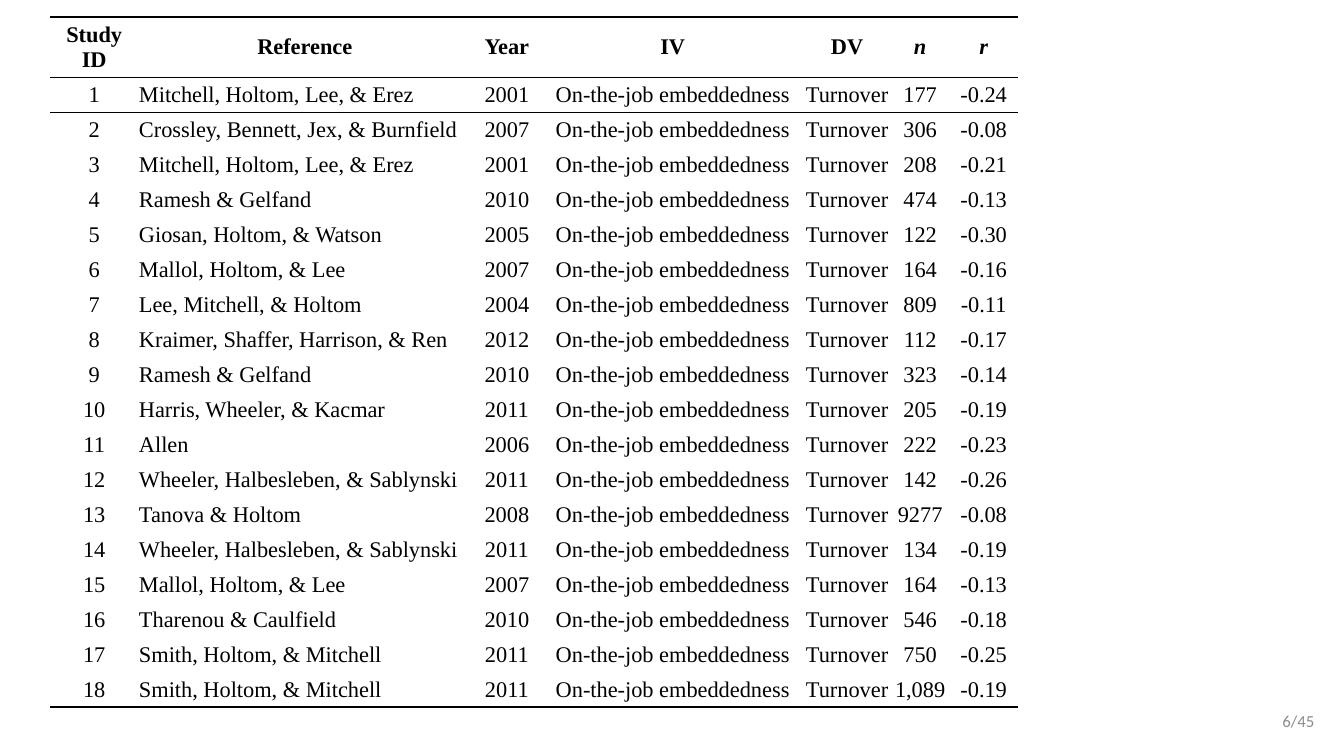
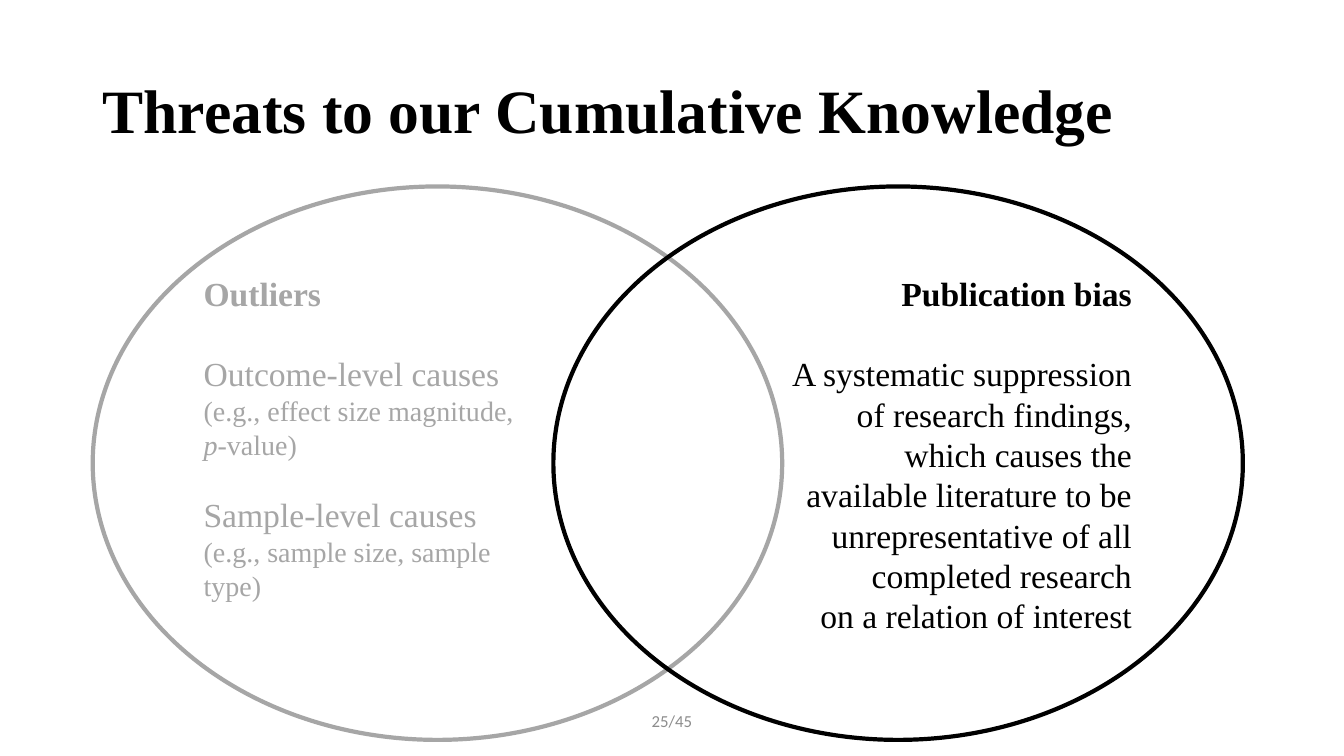
from dataclasses import dataclass
from typing import Any, NamedTuple

from lxml import etree
from pptx import Presentation
from pptx.dml.color import RGBColor
from pptx.enum.shapes import MSO_SHAPE
from pptx.enum.text import MSO_ANCHOR, PP_ALIGN
from pptx.oxml.ns import qn
from pptx.util import Pt

LEFT, CENTER, RIGHT = PP_ALIGN.LEFT, PP_ALIGN.CENTER, PP_ALIGN.RIGHT
TOP, MIDDLE = MSO_ANCHOR.TOP, MSO_ANCHOR.MIDDLE
OVAL = MSO_SHAPE.OVAL

BLACK = RGBColor(0x00, 0x00, 0x00)
FADED = RGBColor(0xA6, 0xA6, 0xA6)
PAGE_GRAY = RGBColor(0x8C, 0x8C, 0x8C)

SERIF = "Times New Roman"
SANS = "Calibri"
TITLE_FORMAT = {"name": SERIF, "size": Pt(44), "bold": True}
PAGE_FORMAT = {"name": SANS, "size": Pt(12)}
CELL_FORMAT = {"name": SERIF, "size": Pt(16)}
HEADER_FORMAT = {**CELL_FORMAT, "bold": True}
HEADING_FORMAT = {"name": SERIF, "size": Pt(24), "bold": True}
BODY_FORMAT = {"name": SERIF, "size": Pt(24)}
EXAMPLE_FORMAT = {"name": SERIF, "size": Pt(20)}

NO_GRID_STYLE = "{2D5ABB26-0587-4C30-8999-92F81FD0307C}"
HEADER_HEIGHT, STUDY_HEIGHT = 43, 25
OUTER_RULE, INNER_RULE = 1.5, 0.5
LEADING = 1.2
TIGHT_MARGINS = {
    "margin_left": Pt(0.7),
    "margin_top": Pt(0.7),
    "margin_right": Pt(0.7),
    "margin_bottom": Pt(0),
}


class Box(NamedTuple):
    left: float
    top: float
    width: float
    height: float

    def points(self) -> tuple:
        return tuple(Pt(length) for length in self)


class Study(NamedTuple):
    reference: str
    year: str
    n: str
    r: str


@dataclass(frozen=True)
class Column:
    heading: str
    width: float
    align: Any = CENTER
    italic_heading: bool = False
    tight: bool = True


@dataclass(frozen=True)
class Line:
    text: str
    format: dict
    gap_before: float = 0
    italic_start: str = ""


@dataclass(frozen=True)
class Threat:
    left: float
    color: RGBColor
    align: Any
    lines: tuple


COLUMNS = (
    Column("Study\nID", 62.6),
    Column("Reference", 238.3, align=LEFT),
    Column("Year", 50.4),
    Column("IV", 186.5, tight=False),
    Column("DV", 62.6),
    Column("n", 41.8, italic_heading=True),
    Column("r", 49, italic_heading=True),
)
PREDICTOR, OUTCOME = "On-the-job embeddedness", "Turnover"
STUDIES = (
    Study("Mitchell, Holtom, Lee, & Erez", "2001", "177", "-0.24"),
    Study("Crossley, Bennett, Jex, & Burnfield", "2007", "306", "-0.08"),
    Study("Mitchell, Holtom, Lee, & Erez", "2001", "208", "-0.21"),
    Study("Ramesh & Gelfand", "2010", "474", "-0.13"),
    Study("Giosan, Holtom, & Watson", "2005", "122", "-0.30"),
    Study("Mallol, Holtom, & Lee", "2007", "164", "-0.16"),
    Study("Lee, Mitchell, & Holtom", "2004", "809", "-0.11"),
    Study("Kraimer, Shaffer, Harrison, & Ren", "2012", "112", "-0.17"),
    Study("Ramesh & Gelfand", "2010", "323", "-0.14"),
    Study("Harris, Wheeler, & Kacmar", "2011", "205", "-0.19"),
    Study("Allen", "2006", "222", "-0.23"),
    Study("Wheeler, Halbesleben, & Sablynski", "2011", "142", "-0.26"),
    Study("Tanova & Holtom", "2008", "9277", "-0.08"),
    Study("Wheeler, Halbesleben, & Sablynski", "2011", "134", "-0.19"),
    Study("Mallol, Holtom, & Lee", "2007", "164", "-0.13"),
    Study("Tharenou & Caulfield", "2010", "546", "-0.18"),
    Study("Smith, Holtom, & Mitchell", "2011", "750", "-0.25"),
    Study("Smith, Holtom, & Mitchell", "2011", "1,089", "-0.19"),
)

DEFINITION = (
    "of research findings,",
    "which causes the",
    "available literature to be",
    "unrepresentative of all",
    "completed research",
    "on a relation of interest",
)
THREATS = (
    Threat(66.24, FADED, LEFT, (
        Line("Outliers", HEADING_FORMAT),
        Line("Outcome-level causes", BODY_FORMAT, gap_before=28.8),
        Line("(e.g., effect size magnitude,", EXAMPLE_FORMAT),
        Line("-value)", EXAMPLE_FORMAT, italic_start="p"),
        Line("Sample-level causes", BODY_FORMAT, gap_before=24),
        Line("(e.g., sample size, sample", EXAMPLE_FORMAT),
        Line("type)", EXAMPLE_FORMAT),
    )),
    Threat(395.28, BLACK, RIGHT, (
        Line("Publication bias", HEADING_FORMAT),
        Line("A systematic suppression", BODY_FORMAT, gap_before=28.8),
        *(Line(text, BODY_FORMAT) for text in DEFINITION),
    )),
)


def set_all(target: Any, values: dict) -> None:
    for attribute, value in values.items():
        setattr(target, attribute, value)


def add_run(paragraph: Any, text: str, values: dict, color: RGBColor) -> None:
    run = paragraph.add_run()
    run.text = text
    set_all(run.font, values)
    run.font.color.rgb = color


def next_paragraph(frame: Any, index: int) -> Any:
    return frame.paragraphs[0] if index == 0 else frame.add_paragraph()


def add_label(slide: Any, box: Box, text: str, values: dict,
              color: RGBColor, align: Any) -> Any:
    frame = slide.shapes.add_textbox(*box.points()).text_frame
    set_all(frame, {"word_wrap": True, "vertical_anchor": MIDDLE})
    paragraph = frame.paragraphs[0]
    paragraph.alignment = align
    add_run(paragraph, text, values, color)
    return paragraph


def add_title(slide: Any, text: str) -> None:
    title = add_label(slide, Box(66.24, 28.8, 828, 104.4), text,
                      TITLE_FORMAT, BLACK, LEFT)
    title.line_spacing = 0.9


def add_page_number(slide: Any, text: str, center: float, width: float) -> None:
    box = Box(center - width / 2, 500.4, width, 28.8)
    add_label(slide, box, text, PAGE_FORMAT, PAGE_GRAY, CENTER)


def add_rule(cell: Any, edge: str, weight: float) -> None:
    properties = cell._tc.get_or_add_tcPr()
    rule = etree.SubElement(properties, qn(f"a:{edge}"), w=str(Pt(weight)))
    fill = etree.SubElement(rule, qn("a:solidFill"))
    etree.SubElement(fill, qn("a:srgbClr"), val=str(BLACK))


def fill_cell(cell: Any, text: str, values: dict, align: Any) -> None:
    cell.vertical_anchor = MIDDLE
    for index, line in enumerate(text.split("\n")):
        paragraph = next_paragraph(cell.text_frame, index)
        paragraph.alignment = align
        add_run(paragraph, line, values, BLACK)


def add_study_table(slide: Any) -> None:
    last = len(STUDIES)
    box = Box(36, 12.24, sum(column.width for column in COLUMNS),
              HEADER_HEIGHT + last * STUDY_HEIGHT)
    table = slide.shapes.add_table(
        last + 1, len(COLUMNS), *box.points()).table
    set_all(table, {"first_row": False, "horz_banding": False})
    table._tbl.tblPr.find(qn("a:tableStyleId")).text = NO_GRID_STYLE
    for row_index, row in enumerate(table.rows):
        row.height = Pt(STUDY_HEIGHT if row_index else HEADER_HEIGHT)

    top_rules = {0: OUTER_RULE, 1: INNER_RULE}
    bottom_rules = {0: INNER_RULE, last: OUTER_RULE}
    rows = [
        (str(number), study.reference, study.year, PREDICTOR, OUTCOME,
         study.n, study.r)
        for number, study in enumerate(STUDIES, 1)
    ]
    for column_index, column in enumerate(COLUMNS):
        table.columns[column_index].width = Pt(column.width)
        heading_format = {**HEADER_FORMAT, "italic": column.italic_heading}
        fill_cell(table.cell(0, column_index), column.heading,
                  heading_format, CENTER)
        for row_index, values in enumerate(rows, 1):
            cell = table.cell(row_index, column_index)
            fill_cell(cell, values[column_index], CELL_FORMAT, column.align)
            if column.tight:
                set_all(cell, TIGHT_MARGINS)
        for row_index in range(last + 1):
            cell = table.cell(row_index, column_index)
            for edge, rules in (("lnT", top_rules), ("lnB", bottom_rules)):
                if row_index in rules:
                    add_rule(cell, edge, rules[row_index])
            cell.fill.background()


def add_threat(slide: Any, threat: Threat) -> None:
    box = Box(threat.left, 133.2, 492.48, 395.28)
    circle = slide.shapes.add_shape(OVAL, *box.points())
    circle.shadow.inherit = False
    circle.fill.background()
    circle.line.color.rgb = threat.color
    circle.line.width = Pt(3)
    frame = circle.text_frame
    set_all(frame, {"word_wrap": True, "vertical_anchor": TOP})
    for index, line in enumerate(threat.lines):
        paragraph = next_paragraph(frame, index)
        set_all(paragraph, {
            "alignment": threat.align,
            "line_spacing": Pt(line.format["size"].pt * LEADING),
            "space_before": Pt(line.gap_before),
        })
        if line.italic_start:
            add_run(paragraph, line.italic_start,
                    {**line.format, "italic": True}, threat.color)
        add_run(paragraph, line.text, line.format, threat.color)


def main() -> None:
    deck = Presentation()
    deck.slide_width, deck.slide_height = Pt(960), Pt(540)
    blank = deck.slide_layouts[6]

    studies_slide = deck.slides.add_slide(blank)
    add_study_table(studies_slide)
    add_page_number(studies_slide, "6/45", center=927.4, width=64)

    threats_slide = deck.slides.add_slide(blank)
    add_title(threats_slide, "Threats to our Cumulative Knowledge")
    for threat in THREATS:
        add_threat(threats_slide, threat)
    add_page_number(threats_slide, "25/45", center=480, width=324)

    deck.save("out.pptx")


if __name__ == "__main__":
    main()
